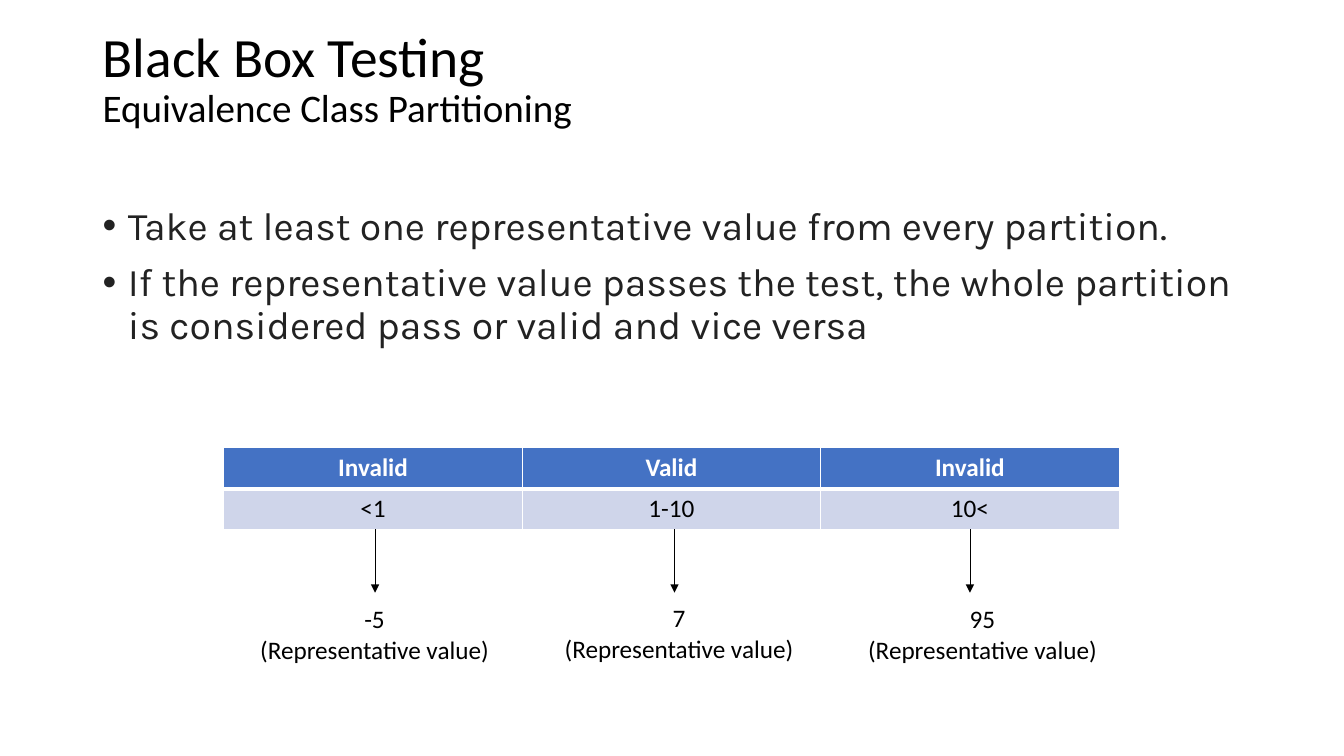
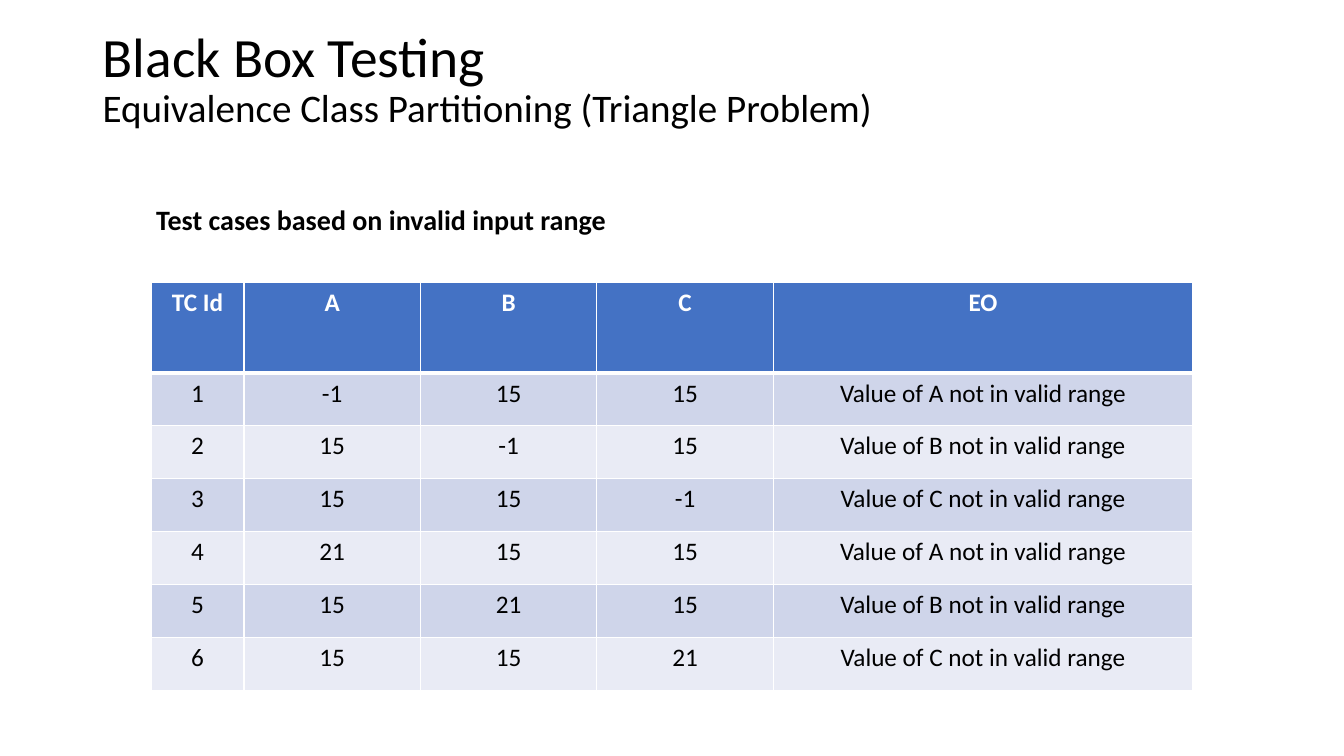
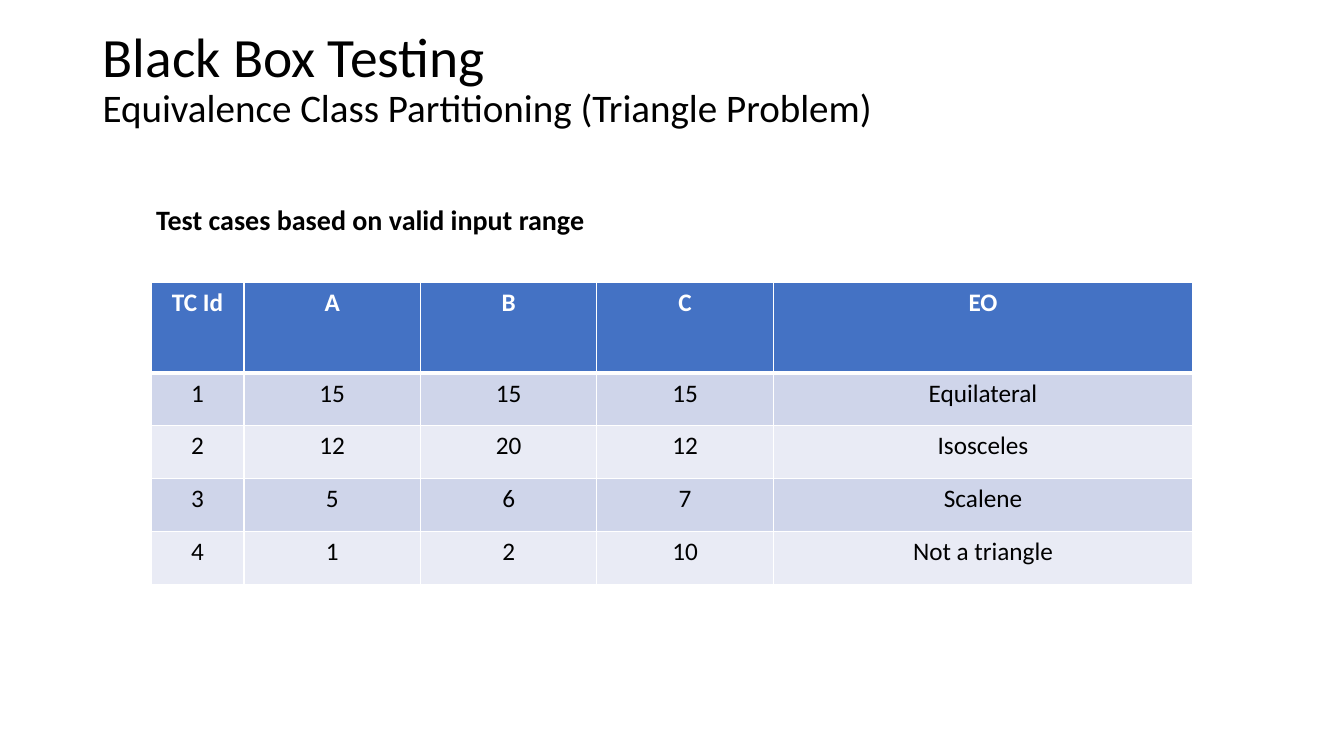
from dataclasses import dataclass

from lxml.etree import SubElement
from pptx import Presentation
from pptx.dml.color import RGBColor
from pptx.enum.shapes import MSO_CONNECTOR
from pptx.enum.text import MSO_ANCHOR, MSO_AUTO_SIZE, PP_ALIGN
from pptx.oxml.ns import qn
from pptx.util import Inches, Pt

HUES = {
    "black": "000000",
    "white": "FFFFFF",
    "ink": "222222",
    "blue": "4472C4",
    "odd": "CFD5EA",
    "even": "E9EBF5",
}
FACE = "Calibri"
BODY = "Karla"
TITLE = "Black Box Testing"


@dataclass(frozen=True)
class Grid:
    left: float
    top: float
    height: float
    head: float
    cols: tuple[float, ...]
    rows: tuple[tuple[str, ...], ...]


@dataclass(frozen=True)
class Sample:
    value: str
    arrow: float
    left: float
    top: float


@dataclass(frozen=True)
class Case:
    label: str
    height: float
    rows: tuple[tuple[str, ...], ...]


HEADS = ("TC Id", "A", "B", "C", "EO")
RANGE = "Value of {} not in valid range"
POINTS = (
    "Take at least one representative value from every partition.",
    "If the representative value passes the test, the whole partition "
    "is considered pass or valid and vice versa",
)
CLASSES = Grid(2.22, 4.44, 0.81, 0.41, (2.96,) * 3,
               (("Invalid", "Valid", "Invalid"), ("<1", "1-10", "10<")))
SAMPLES = (
    Sample("-5", 3.72, 2.35, 5.94),
    Sample("7", 6.69, 5.37, 5.93),
    Sample("95", 9.62, 8.38, 5.94),
)
CASES = (
    Case("Test cases based on invalid input range", 4.05, (
        ("1", "-1", "15", "15", RANGE.format("A")),
        ("2", "15", "-1", "15", RANGE.format("B")),
        ("3", "15", "15", "-1", RANGE.format("C")),
        ("4", "21", "15", "15", RANGE.format("A")),
        ("5", "15", "21", "15", RANGE.format("B")),
        ("6", "15", "15", "21", RANGE.format("C")),
    )),
    Case("Test cases based on valid input range", 3, (
        ("1", "15", "15", "15", "Equilateral"),
        ("2", "12", "20", "12", "Isosceles"),
        ("3", "5", "6", "7", "Scalene"),
        ("4", "1", "2", "10", "Not a triangle"),
    )),
)


def color(name: str) -> RGBColor:
    return RGBColor.from_string(HUES[name])


def style(para, size: float, hue: str = "black", face: str = FACE,
          bold: bool = False) -> None:
    font = para.font
    font.name, font.size, font.bold = face, Pt(size), bold
    font.color.rgb = color(hue)


def add_box(slide, left: float, top: float, width: float, height: float):
    box = slide.shapes.add_textbox(
        Inches(left), Inches(top), Inches(width), Inches(height))
    box.text_frame.word_wrap = True
    return box.text_frame


def add_slide(deck, topic: str):
    slide = deck.slides.add_slide(deck.slide_layouts[6])
    para = add_box(slide, 0.92, 0.24, 11.5, 1.15).paragraphs[0]
    para.line_spacing = 0.9
    style(para, 39.6)
    para.add_run().text = TITLE
    para.add_line_break()
    run = para.add_run()
    run.text = topic
    run.font.size = Pt(27.9)
    return slide


def add_list(slide, items: tuple[str, ...]) -> None:
    frame = add_box(slide, 0.92, 2, 11.5, 4.76)
    for i, item in enumerate(items):
        para = frame.add_paragraph() if i else frame.paragraphs[0]
        para.text = item
        para.line_spacing = 0.9
        if i:
            para.space_before = Pt(10)
        props = para._p.get_or_add_pPr()
        props.set("marL", str(Inches(0.25)))
        props.set("indent", str(Inches(-0.25)))
        SubElement(props, qn("a:buFont"), typeface="Arial")
        SubElement(props, qn("a:buChar"), char="•")
        style(para, 28, "ink", BODY)


def add_edge(cell, side: str, width: float) -> None:
    props = cell._tc.get_or_add_tcPr()
    line = SubElement(props, qn(f"a:ln{side}"), w=str(Pt(width)))
    fill = SubElement(line, qn("a:solidFill"))
    SubElement(fill, qn("a:srgbClr"), val=HUES["white"])


def fill_cell(cell, text: str, row: int) -> None:
    head = row == 0
    for side in "LRTB":
        thick = (row, side) in ((0, "B"), (1, "T"))
        add_edge(cell, side, 3 if thick else 1)
    cell.fill.solid()
    cell.fill.fore_color.rgb = color(
        "blue" if head else "odd" if row % 2 else "even")
    cell.text = text
    para = cell.text_frame.paragraphs[0]
    para.alignment = PP_ALIGN.CENTER
    style(para, 18, "white" if head else "black", bold=head)


def add_grid(slide, grid: Grid) -> None:
    table = slide.shapes.add_table(
        len(grid.rows), len(grid.cols), Inches(grid.left), Inches(grid.top),
        Inches(sum(grid.cols)), Inches(grid.height)).table
    for col, width in zip(table.columns, grid.cols):
        col.width = Inches(width)
    rest = (grid.height - grid.head) / (len(grid.rows) - 1)
    for r, texts in enumerate(grid.rows):
        table.rows[r].height = Inches(rest if r else grid.head)
        for c, text in enumerate(texts):
            fill_cell(table.cell(r, c), text, r)


def add_arrow(slide, x: float, top: float, end: float) -> None:
    arrow = slide.shapes.add_connector(
        MSO_CONNECTOR.STRAIGHT, Inches(x), Inches(top), Inches(x), Inches(end))
    arrow.line.color.rgb = color("black")
    arrow.line.width = Pt(0.5)
    SubElement(arrow.line._get_or_add_ln(), qn("a:tailEnd"), type="triangle")
    SubElement(arrow._element.spPr, qn("a:effectLst"))


def add_sample(slide, sample: Sample) -> None:
    add_arrow(slide, sample.arrow, 5.25, 5.88)
    frame = add_box(slide, sample.left, sample.top, 2.73, 0.71)
    frame.auto_size = MSO_AUTO_SIZE.SHAPE_TO_FIT_TEXT
    frame.text = f"{sample.value}\n(Representative value)"
    for para in frame.paragraphs:
        para.alignment = PP_ALIGN.CENTER
        style(para, 18)


def add_case(slide, case: Case) -> None:
    frame = add_box(slide, 1.45, 1.96, 5.51, 0.44)
    frame.auto_size = MSO_AUTO_SIZE.SHAPE_TO_FIT_TEXT
    frame.vertical_anchor = MSO_ANCHOR.MIDDLE
    frame.text = case.label
    style(frame.paragraphs[0], 20, bold=True)
    cols = (0.92, 1.75, 1.75, 1.75, 4.16)
    add_grid(slide, Grid(1.5, 2.8, case.height, 0.9, cols,
                         (HEADS, *case.rows)))


def main() -> None:
    deck = Presentation()
    deck.slide_width, deck.slide_height = Inches(13.33), Inches(7.5)
    topic = "Equivalence Class Partitioning"
    slide = add_slide(deck, topic)
    add_list(slide, POINTS)
    add_grid(slide, CLASSES)
    for sample in SAMPLES:
        add_sample(slide, sample)
    for case in CASES:
        add_case(add_slide(deck, f"{topic} (Triangle Problem)"), case)
    deck.save("out.pptx")


if __name__ == "__main__":
    main()
